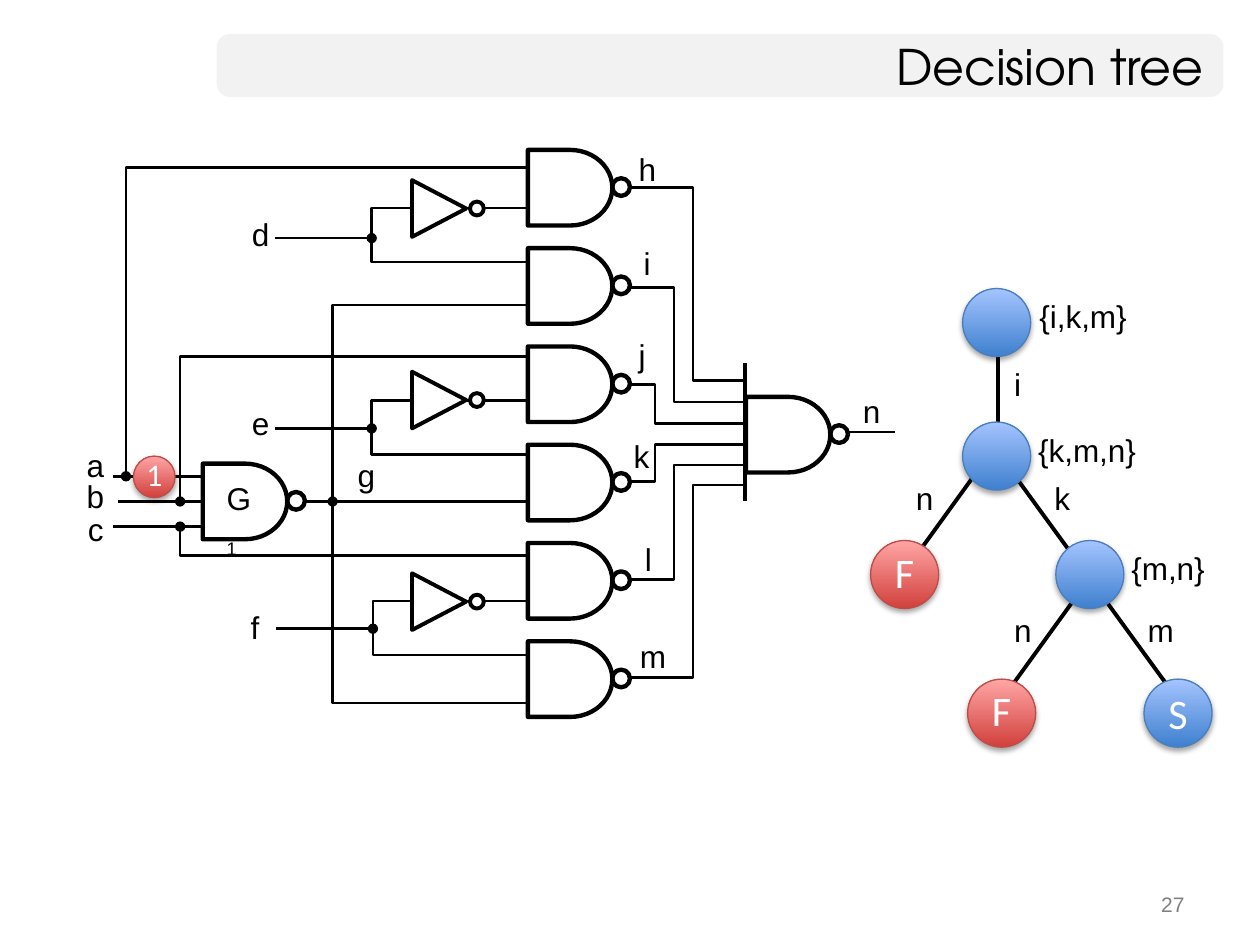
from lxml import etree
from pptx import Presentation
from pptx.dml.color import RGBColor
from pptx.enum.shapes import MSO_CONNECTOR, MSO_SHAPE
from pptx.enum.text import MSO_ANCHOR, MSO_AUTO_SIZE, PP_ALIGN
from pptx.oxml.ns import qn
from pptx.util import Inches, Pt

STRAIGHT = MSO_CONNECTOR.STRAIGHT
ROUNDED, OVAL = MSO_SHAPE.ROUNDED_RECTANGLE, MSO_SHAPE.OVAL
DELAY, CIRCLE = MSO_SHAPE.FLOWCHART_DELAY, MSO_SHAPE.FLOWCHART_CONNECTOR
TRIANGLE = MSO_SHAPE.ISOSCELES_TRIANGLE
MIDDLE, TOP = MSO_ANCHOR.MIDDLE, MSO_ANCHOR.TOP
LEFT, CENTER, RIGHT = PP_ALIGN.LEFT, PP_ALIGN.CENTER, PP_ALIGN.RIGHT
GROW = MSO_AUTO_SIZE.SHAPE_TO_FIT_TEXT

BLACK = RGBColor(0x00, 0x00, 0x00)
WHITE = RGBColor(0xFF, 0xFF, 0xFF)
BAND = RGBColor(0xF2, 0xF2, 0xF2)
GREY = RGBColor(0x80, 0x80, 0x80)
BLUE = (RGBColor(0x3F, 0x80, 0xCE), RGBColor(0xA4, 0xC4, 0xFF), RGBColor(0x4B, 0x7E, 0xBC))
RED = (RGBColor(0xD1, 0x40, 0x3C), RGBColor(0xFF, 0xA6, 0xA5), RGBColor(0xBF, 0x4C, 0x48))

WIDTHS = {"c": 0.33, "f": 0.29, "i": 0.26, "j": 0.27, "k": 0.33, "l": 0.26, "m": 0.41,
          "{i,k,m}": 0.92, "{k,m,n}": 0.99, "{m,n}": 0.79}

GATES = [(4.19, 1.19 + 0.78 * i) for i in range(6)] + [(1.61, 3.68), (5.92, 3.15)]
INVERTERS = [1.44, 2.96, 4.56]
FORKS = [(2.95, 1.65, 1.89), (2.95, 3.18, 3.4), (2.96, 4.77, 4.99)]
FAN_IN = [(4.64, 3.82, 5.2, 3.53), (4.64, 3.05, 5.2, 3.36), (4.43, 2.28, 5.35, 3.19),
          (4.86, 1.49, 5.5, 3.02), (4.43, 4.6, 5.35, 3.69), (4.86, 5.38, 5.5, 3.85)]
BRANCHES = [(4.34, 4.41, 1.43, 4.18), (4.43, 2.83, 1.43, 3.98), (4.26, 1.33, 1, 3.78)]
LEADS = [(1.61, 3.78, 0.9, 3.78), (1.61, 4.18, 0.9, 4.18), (2.64, 3.98, 0.94, 3.98),
         (7.1, 3.43, 6.38, 3.43)]
SIGNALS = [("a", 0.59, 3.49), ("b", 0.59, 3.74), ("c", 0.6, 4), ("d", 1.9, 1.66),
           ("e", 1.9, 3.16), ("f", 1.89, 4.78), ("g", 2.74, 3.57), ("h", 4.97, 1.14),
           ("i", 5.01, 1.89), ("j", 4.97, 2.62), ("k", 4.93, 3.42), ("l", 5.02, 4.24),
           ("m", 4.98, 5.01), ("n", 6.75, 3.06)]
EDGES = [(8.64, 4.6, 7.96, 5.54), (7.97, 3.66, 9.44, 5.68), (7.85, 3.61, 7.17, 4.55),
         (7.92, 2.67, 7.92, 3.38)]
NODES = [(7.64, 2.29, BLUE, ""), (7.64, 3.35, BLUE, ""), (6.91, 4.29, RED, "F"),
         (8.38, 4.29, BLUE, ""), (7.68, 5.39, RED, "F"), (9.08, 5.39, BLUE, "S")]
CHOICES = [("m", 9.01, 4.8), ("n", 7.17, 3.75), ("n", 7.95, 4.8), ("k", 8.27, 3.75),
           ("i", 7.95, 2.85), ("{i,k,m}", 8.15, 2.31), ("{k,m,n}", 8.14, 3.37),
           ("{m,n}", 8.88, 4.31)]


def set_attrs(obj, values):
    """Set each attribute named in a dict."""
    for name, value in values.items():
        setattr(obj, name, value)


def add_run(p, text, size, color=BLACK, font="Arial"):
    """Append a formatted run to a paragraph."""
    r = p.add_run()
    r.text = text
    set_attrs(r.font, {"name": font, "size": Pt(size)})
    r.font.color.rgb = color
    return r


def text_box(shapes, box, text, size=18, color=BLACK, font="Arial", align=LEFT, **frame):
    """Add a one-paragraph text box and return its paragraph."""
    tf = shapes.add_textbox(*map(Inches, box)).text_frame
    set_attrs(tf, frame)
    p = tf.paragraphs[0]
    p.alignment = align
    add_run(p, text, size, color, font)
    return p


def labels(shapes, items):
    """Add the letter labels at their places."""
    for text, x, y in items:
        text_box(shapes, (x, y, WIDTHS.get(text, 0.34), 0.4), text,
                 word_wrap=False, auto_size=GROW)


def stroke(s, width, dot=False):
    """Draw a black line, with an optional oval at its end."""
    s.line.color.rgb = BLACK
    s.line.width = Pt(width)
    if dot:
        etree.SubElement(s._element.spPr.find(qn("a:ln")), qn("a:tailEnd"), type="oval")


def line(shapes, ends, width=1.5, dot=False):
    """Add a straight connector."""
    s = shapes.add_connector(STRAIGHT, *map(Inches, ends))
    stroke(s, width, dot)
    etree.SubElement(s._element.spPr, qn("a:effectLst"))


def wire(shapes, points, dot=False):
    """Add a wire with right-angle bends."""
    pts = [(Inches(x), Inches(y)) for x, y in points]
    builder = shapes.build_freeform(*pts[0])
    builder.add_line_segments(pts[1:], close=False)
    s = builder.convert_to_shape()
    s.fill.background()
    s.shadow.inherit = False
    stroke(s, 1.5, dot)


def outline(shapes, kind, box, width):
    """Add a white shape with a black outline."""
    s = shapes.add_shape(kind, *map(Inches, box))
    s.shadow.inherit = False
    s.fill.solid()
    s.fill.fore_color.rgb = WHITE
    stroke(s, width)
    return s


def gate(shapes, x, y):
    """Add a NAND gate."""
    outline(shapes, CIRCLE, (x + 0.67, y + 0.225, 0.14, 0.14), 2.5)
    outline(shapes, DELAY, (x, y, 0.67, 0.6), 2.5)


def inverter(shapes, y):
    """Add an inverter."""
    outline(shapes, CIRCLE, (3.73, y + 0.16, 0.11, 0.11), 2.25)
    outline(shapes, TRIANGLE, (3.26, y, 0.45, 0.43), 2.25).rotation = 90


def node(shapes, x, y, colors, text, side=0.54, size=24):
    """Add a shaded ball with an optional letter."""
    s = shapes.add_shape(OVAL, *map(Inches, (x, y, side, side)))
    s.fill.gradient()
    s.fill.gradient_angle = 90
    for stop, color in zip(s.fill.gradient_stops, colors):
        stop.color.rgb = color
    s.line.color.rgb = colors[2]
    s.line.width = Pt(0.75)
    s.shadow.inherit = False
    shadow = etree.SubElement(s._element.spPr.find(qn("a:effectLst")), qn("a:outerShdw"),
                              blurRad=str(Pt(3.1)), dist=str(Pt(1.8)), dir="5400000",
                              rotWithShape="0")
    color = etree.SubElement(shadow, qn("a:srgbClr"), val=str(BLACK))
    etree.SubElement(color, qn("a:alpha"), val="35000")
    if text:
        tf = s.text_frame
        tf.vertical_anchor = MIDDLE
        if colors is RED:
            set_attrs(tf, {"margin_left": 0, "margin_top": 0, "margin_right": 0,
                           "margin_bottom": Inches(0.05)})
        p = tf.paragraphs[0]
        p.alignment = CENTER
        add_run(p, text, size, WHITE, "Calibri")


def circuit(shapes):
    """Draw the logic circuit."""
    for x0, y0, bend, y1 in FAN_IN:
        wire(shapes, [(x0, y0), (bend, y0), (bend, y1), (5.9, y1)])
    for x0, y0, x1, y1 in BRANCHES:
        wire(shapes, [(x0, y0), (x1, y0), (x1, y1)], dot=True)
    wire(shapes, [(4.24, 2.42), (2.64, 2.42), (2.64, 5.58), (4.24, 5.58)])
    for x, y, mid in FORKS:
        wire(shapes, [(x + 1.6, y), (x, y), (x, y + 0.43), (x + 1.6, y + 0.43)])
        line(shapes, (x - 0.77, mid, x, mid), dot=True)
    for ends in LEADS:
        line(shapes, ends)
    line(shapes, (4.24, 3.98, 2.64, 3.98), dot=True)
    for x, y in GATES:
        gate(shapes, x, y)
    for y in INVERTERS:
        inverter(shapes, y)
    line(shapes, (5.91, 3.98, 5.91, 2.88), 2.25)
    node(shapes, 1.06, 3.62, RED, "1", 0.33, 18)
    p = text_box(shapes, (1.7, 3.75, 0.45, 0.49), "G", word_wrap=True)
    add_run(p, "1", 18).font._element.set("baseline", "-25000")
    labels(shapes, SIGNALS)


def tree(shapes):
    """Draw the decision tree."""
    for ends in EDGES:
        line(shapes, ends, 2.25)
    for item in NODES:
        node(shapes, *item)
    labels(shapes, CHOICES)


def main():
    """Build the slide and save it."""
    prs = Presentation()
    set_attrs(prs, {"slide_width": Inches(10), "slide_height": Inches(7.5)})
    shapes = prs.slides.add_slide(prs.slide_layouts[6]).shapes
    s = shapes.add_shape(ROUNDED, *map(Inches, (1.72, 0.27, 7.99, 0.5)))
    s.adjustments[0] = 0.21
    s.shadow.inherit = False
    s.fill.solid()
    s.fill.fore_color.rgb = BAND
    s.line.fill.background()
    text_box(shapes, (7.17, 7, 2.33, 0.35), "27", 12, GREY, align=RIGHT,
             word_wrap=True, vertical_anchor=MIDDLE)
    text_box(shapes, (1.72, 0.27, 7.93, 0.5), "Decision tree", 28, BLACK, "TeX Gyre Adventor",
             RIGHT, word_wrap=True, vertical_anchor=MIDDLE)
    circuit(shapes.add_group_shape().shapes)
    tree(shapes.add_group_shape().shapes)
    prs.save("out.pptx")


if __name__ == "__main__":
    main()
